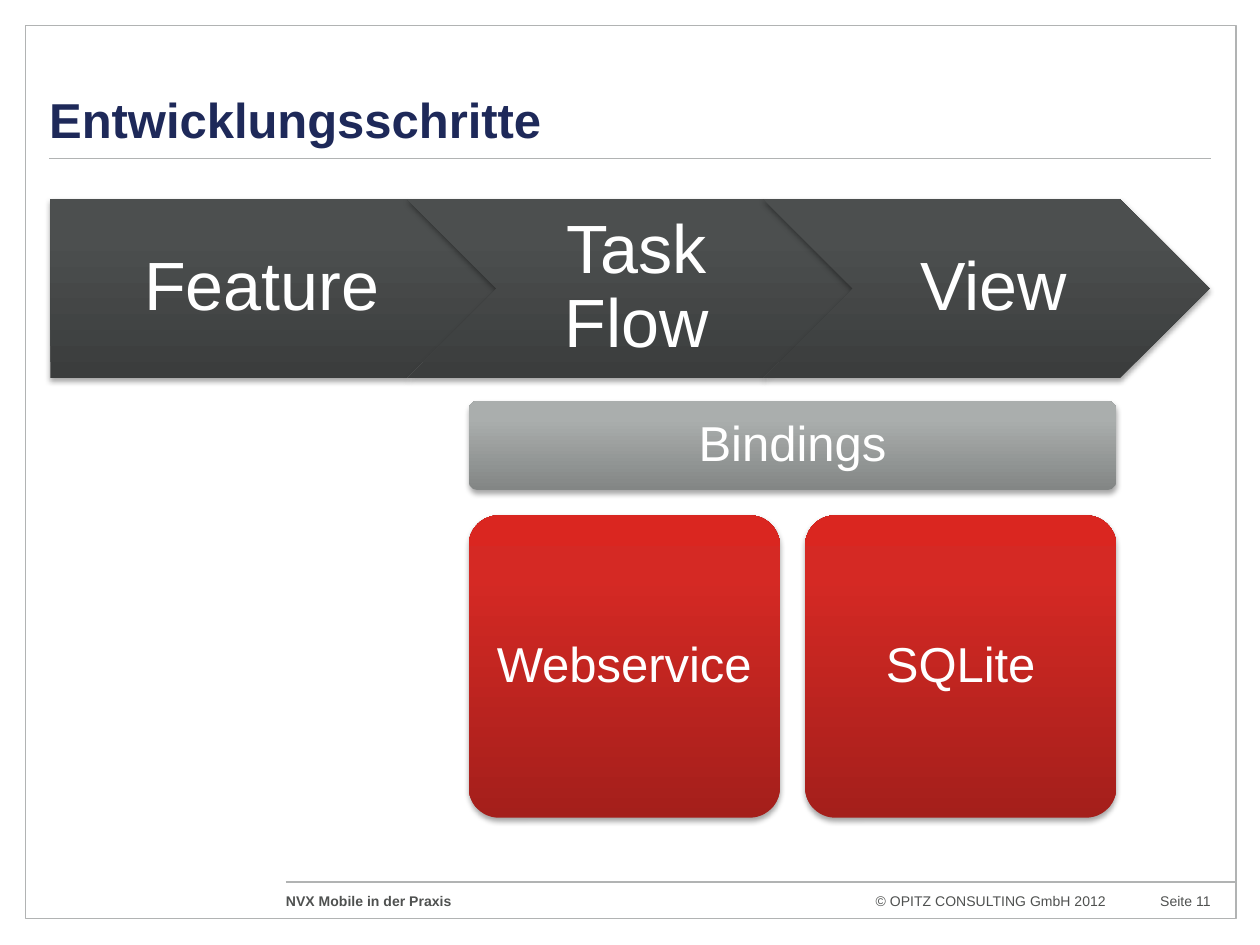
import copy
import pptx
import pptx.dml.color
import pptx.enum.shapes
import pptx.enum.text
import pptx.oxml
import pptx.oxml.ns
import pptx.util

Inches = pptx.util.Inches
Pt = pptx.util.Pt
Shape = pptx.enum.shapes.MSO_SHAPE
Align = pptx.enum.text.PP_ALIGN
Anchor = pptx.enum.text.MSO_ANCHOR
qn = pptx.oxml.ns.qn

FONT = "Arial"
LINE = "B1B3B3"
NAVY = "1E2959"
TEXT = "4F5150"
WHITE = "FFFFFF"
DARK = ("3B3D3D", "4C4F4F", "4D4F4F")
GREY = ("838685", "AAAEAD", "ABAFAD")
RED = ("A41F1B", "D52924", "DA2620")
STOPS = (0, 0.8, 1)
SHADOW = (
    '<a:outerShdw xmlns:a="http://schemas.openxmlformats.org/drawingml/2006/main"'
    ' blurRad="40000" dist="23000" dir="5400000" rotWithShape="0">'
    '<a:srgbClr val="000000"><a:alpha val="35000"/></a:srgbClr></a:outerShdw>'
)


def tint(code):
    return pptx.dml.color.RGBColor.from_string(code)


def write(shape, text, size=8, color=TEXT, bold=False, align=Align.LEFT,
          anchor=Anchor.TOP, pad=(0, 0, 0, 0), space=None):
    frame = shape.text_frame
    frame.word_wrap = True
    frame.auto_size = pptx.enum.text.MSO_AUTO_SIZE.NONE
    frame.vertical_anchor = anchor
    (frame.margin_left, frame.margin_top,
     frame.margin_right, frame.margin_bottom) = map(Inches, pad)
    frame.text = text
    para = frame.paragraphs[0]
    para.alignment = align
    para.space_before = Pt(0)
    para.line_spacing = space
    font = para.runs[0].font
    font.name, font.size, font.bold = FONT, Pt(size), bold
    font.color.rgb = tint(color)


def rule(slide, left, right, top):
    line = slide.shapes.add_connector(
        pptx.enum.shapes.MSO_CONNECTOR.STRAIGHT,
        Inches(left), Inches(top), Inches(right), Inches(top))
    line.line.color.rgb = tint(LINE)
    line.line.width = Pt(0.75)
    props = line._element.spPr
    props.append(props.makeelement(qn("a:effectLst"), {}))


def block(slide, kind, box, text, shades, size, pad):
    shape = slide.shapes.add_shape(kind, *map(Inches, box))
    shape.line.fill.background()
    shape.fill.gradient()
    shape.fill.gradient_angle = 90
    props = shape._element.spPr
    stops = props.find(qn("a:gradFill")).find(qn("a:gsLst"))
    stops.append(copy.deepcopy(stops[-1]))
    for stop, place, shade in zip(shape.fill.gradient_stops, STOPS, shades):
        stop.position = place
        stop.color.rgb = tint(shade)
    shape.shadow.inherit = False
    props.find(qn("a:effectLst")).append(pptx.oxml.parse_xml(SHADOW))
    write(shape, text, size=size, color=WHITE, align=Align.CENTER,
          anchor=Anchor.MIDDLE, pad=pad, space=0.9)
    return shape


def border(slide, box):
    shape = slide.shapes.add_shape(Shape.RECTANGLE, *map(Inches, box))
    shape.shadow.inherit = False
    shape.fill.background()
    shape.line.color.rgb = tint(LINE)
    shape.line.width = Pt(0.75)


def header(slide, box):
    left, top, width, height = box
    title = slide.shapes.title
    title.left, title.top, title.width, title.height = map(Inches, box)
    write(title, "Entwicklungsschritte", size=28, color=NAVY, bold=True,
          anchor=Anchor.BOTTOM, space=Pt(30))
    rule(slide, left, left + width, top + height + 0.08)


def footer(slide, box):
    left, top, width, height = box
    rule(slide, left, left + width, top)
    parts = (
        ("NVX Mobile in der Praxis", 0, 4.53, True, Align.LEFT),
        ("© OPITZ CONSULTING GmbH 2012", 4.68, 1.95, False, Align.LEFT),
        ("Seite 11", 6.34, 1, False, Align.RIGHT),
    )
    for text, shift, span, bold, align in parts:
        label = slide.shapes.add_textbox(
            Inches(left + shift), Inches(top + 0.08), Inches(span), Inches(height))
        write(label, text, bold=bold, align=align)


def process(slide, box, steps):
    left, top, width, height = box
    lap = height / 2
    span = (width + lap * (len(steps) - 1)) / len(steps)
    for i, text in enumerate(steps):
        kind = Shape.CHEVRON if i else Shape.PENTAGON
        pad = (0.17 if i else 0.23, 0.11, 0.06, 0.11)
        place = (left + i * (span - lap), top, span, height)
        block(slide, kind, place, text, DARK, 39, pad)


def stack(slide, box, head, tiles):
    left, top, width, height = box
    bar, gap = 0.71, 0.2
    span = (width - gap * (len(tiles) - 1)) / len(tiles)
    drop = bar + gap
    cards = [(head, GREY, (left, top, width, bar))]
    for i, text in enumerate(tiles):
        cards.append((text, RED, (left + i * (span + gap), top + drop,
                                  span, height - drop)))
    for text, shades, place in cards:
        card = block(slide, Shape.ROUNDED_RECTANGLE, place, text, shades, 28,
                     (0.12,) * 4)
        card.adjustments[0] = 0.1


def main():
    deck = pptx.Presentation()
    deck.slide_width, deck.slide_height = Inches(10), Inches(7.5)
    slide = deck.slides.add_slide(deck.slide_layouts[5])
    border(slide, (0.2, 0.2, 9.61, 7.09))
    header(slide, (0.39, 0.24, 9.22, 0.94))
    footer(slide, (2.27, 7, 7.53, 0.18))
    process(slide, (0.4, 1.58, 9.2, 1.42), ("Feature", "Task Flow", "View"))
    stack(slide, (3.72, 3.18, 5.14, 3.31), "Bindings", ("Webservice", "SQLite"))
    deck.save("out.pptx")


if __name__ == "__main__":
    main()
